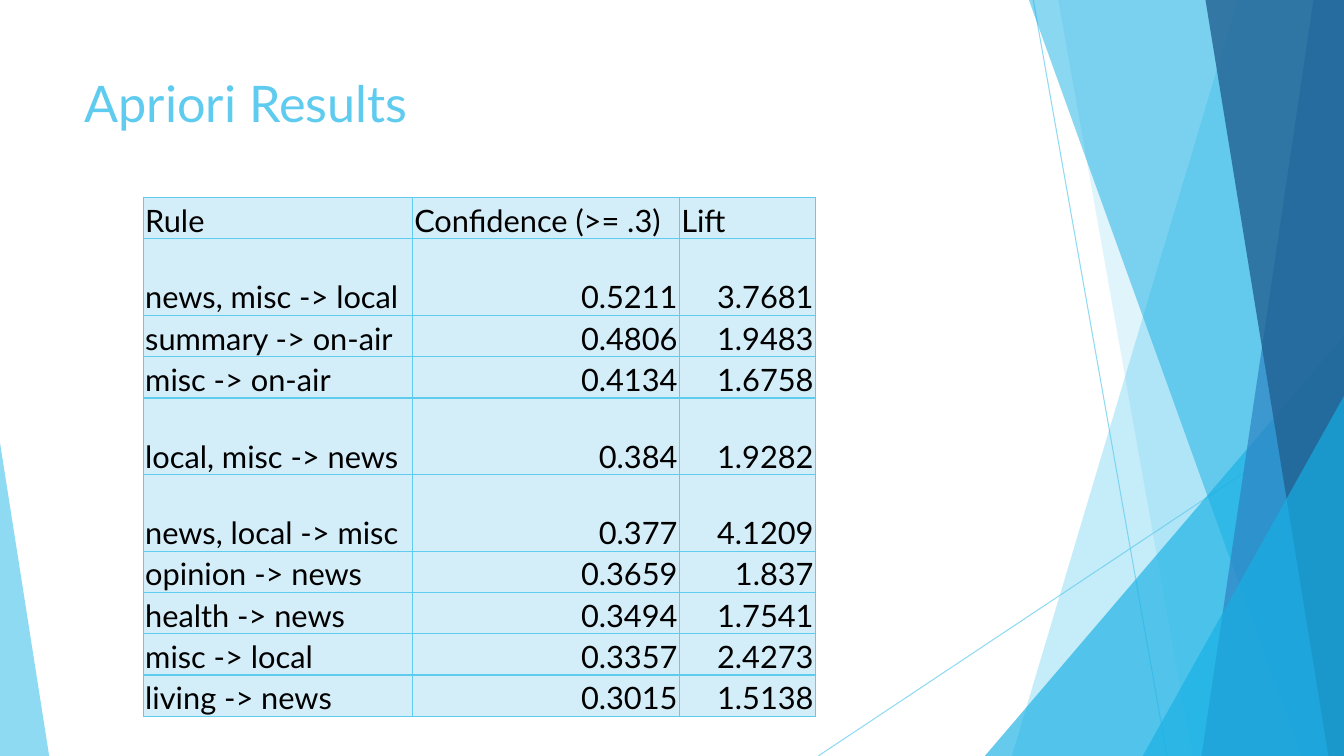
from lxml import etree
from pptx import Presentation
from pptx.dml.color import RGBColor
from pptx.enum.shapes import MSO_CONNECTOR, MSO_SHAPE
from pptx.enum.text import MSO_ANCHOR, PP_ALIGN
from pptx.oxml.ns import qn
from pptx.util import Cm, Pt

STRAIGHT = MSO_CONNECTOR.STRAIGHT
TRIANGLE = MSO_SHAPE.ISOSCELES_TRIANGLE
TOP, BOTTOM = MSO_ANCHOR.TOP, MSO_ANCHOR.BOTTOM
LEFT, RIGHT = PP_ALIGN.LEFT, PP_ALIGN.RIGHT

FONT = "Lato"
SKY, CYAN, BLUE, NAVY = "5FCBEF", "17B0E4", "2E83C3", "226292"
CELL_FILL, BLACK = "D4EEF9", "000000"
SLIDE_W, SLIDE_H = 33.87, 19.05

TITLE = "Apriori Results"
RULES = [
    ("Rule", "Confidence (>= .3)", "Lift"),
    ("news, misc -> local", "0.5211", "3.7681"),
    ("summary -> on-air", "0.4806", "1.9483"),
    ("misc -> on-air", "0.4134", "1.6758"),
    ("local, misc -> news", "0.384", "1.9282"),
    ("news, local -> misc", "0.377", "4.1209"),
    ("opinion -> news", "0.3659", "1.837"),
    ("health -> news", "0.3494", "1.7541"),
    ("misc -> local", "0.3357", "2.4273"),
    ("living -> news", "0.3015", "1.5138"),
]
COL_WIDTHS = (6.78, 6.73, 3.43)
ROW_H, TALL_ROW_H = 1.04, 1.93
TALL_ROWS = {1, 4, 5}

# x1, y1, x2, y2
RAYS = [(26.04, 0, 29.41, SLIDE_H), (SLIDE_W, 10.24, 20.62, SLIDE_H)]
# Facets from back to front
# band: left edge at top and at bottom; corner: left, top, width, height, apex
FACETS = [
    ("band", (31.19, 25.5), SKY, 36),
    ("band", (26.67, 30.05), SKY, 20),
    ("corner", (24.82, 8.46, 9.05, 10.59, 1), CYAN, 66),
    ("band", (25.93, 32.79), CYAN, 50),
    ("band", (33.1, 30.28), BLUE, 70),
    ("band", (30.38, 33.48), NAVY, 80),
    ("corner", (28.8, 9.98, 5.07, 9.07, 1), CYAN, 66),
    ("corner", (0, 11.15, 1.24, 7.9, 0), SKY, 70),
]


def rgb(color):
    return RGBColor.from_string(color)


def set_opacity(parent, percent):
    """Make the solid colour found inside parent partly transparent."""
    clr = parent.find(".//" + qn("a:srgbClr"))
    etree.SubElement(clr, qn("a:alpha"), val=str(percent * 1000))


def add_ray(s, x1, y1, x2, y2):
    ray = s.shapes.add_connector(STRAIGHT, Cm(x1), Cm(y1), Cm(x2), Cm(y2))
    ray.line.color.rgb = rgb(SKY)
    ray.line.width = Pt(0.75)
    sp_pr = ray._element.spPr
    set_opacity(sp_pr, 70)
    etree.SubElement(sp_pr, qn("a:effectLst"))


def add_band(s, top_x, bottom_x):
    """Add a full-height facet that reaches the right edge of the slide."""
    builder = s.shapes.build_freeform(Cm(top_x), 0)
    corners = [(SLIDE_W, 0), (SLIDE_W, SLIDE_H), (bottom_x, SLIDE_H)]
    builder.add_line_segments([(Cm(x), Cm(y)) for x, y in corners], close=True)
    return builder.convert_to_shape()


def add_corner(s, left, top, width, height, apex):
    sp = s.shapes.add_shape(TRIANGLE, Cm(left), Cm(top), Cm(width), Cm(height))
    sp.adjustments[0] = apex
    return sp


def add_facet(s, kind, geometry, color, opacity):
    sp = (add_band if kind == "band" else add_corner)(s, *geometry)
    sp.shadow.inherit = False
    sp.fill.solid()
    sp.fill.fore_color.rgb = rgb(color)
    set_opacity(sp._element.spPr, opacity)
    sp.line.fill.background()


def write(tf, text, size, color, align=LEFT):
    p = tf.paragraphs[0]
    p.alignment = align
    r = p.add_run()
    r.text = text
    r.font.name = FONT
    r.font.size = Pt(size)
    r.font.color.rgb = rgb(color)


def add_borders(cell):
    tc_pr = cell._tc.get_or_add_tcPr()
    for i, side in enumerate(("a:lnL", "a:lnR", "a:lnT", "a:lnB")):
        ln = etree.Element(qn(side), w=str(Pt(1)))
        fill = etree.SubElement(ln, qn("a:solidFill"))
        etree.SubElement(fill, qn("a:srgbClr"), val=SKY)
        tc_pr.insert(i, ln)


def add_rules_table(s):
    heights = [TALL_ROW_H if i in TALL_ROWS else ROW_H for i in range(len(RULES))]
    table = s.shapes.add_table(len(RULES), len(COL_WIDTHS), Cm(3.61), Cm(4.98),
                               Cm(sum(COL_WIDTHS)), Cm(sum(heights))).table
    table.first_row = table.horz_banding = False
    for col, width in zip(table.columns, COL_WIDTHS):
        col.width = Cm(width)
    for i, (row, height) in enumerate(zip(table.rows, heights)):
        row.height = Cm(height)
        for j, cell in enumerate(row.cells):
            cell.margin_left = cell.margin_right = cell.margin_top = Cm(0.05)
            cell.margin_bottom = 0
            cell.vertical_anchor = BOTTOM
            cell.fill.solid()
            cell.fill.fore_color.rgb = rgb(CELL_FILL)
            add_borders(cell)
            align = RIGHT if i and j else LEFT
            write(cell.text_frame, RULES[i][j], 22, BLACK, align)


def main():
    prs = Presentation()
    prs.slide_width, prs.slide_height = Cm(SLIDE_W), Cm(SLIDE_H)
    s = prs.slides.add_slide(prs.slide_layouts[5])
    for ray in RAYS:
        add_ray(s, *ray)
    for facet in FACETS:
        add_facet(s, *facet)

    title = s.shapes.title
    title.left, title.top = Cm(1.88), Cm(1.7)
    title.width, title.height = Cm(23.88), Cm(3.66)
    title.text_frame.vertical_anchor = TOP
    write(title.text_frame, TITLE, 36, SKY)
    # Bring the title in front of the facets
    title._element.getparent().append(title._element)

    add_rules_table(s)
    prs.save("out.pptx")


if __name__ == "__main__":
    main()
